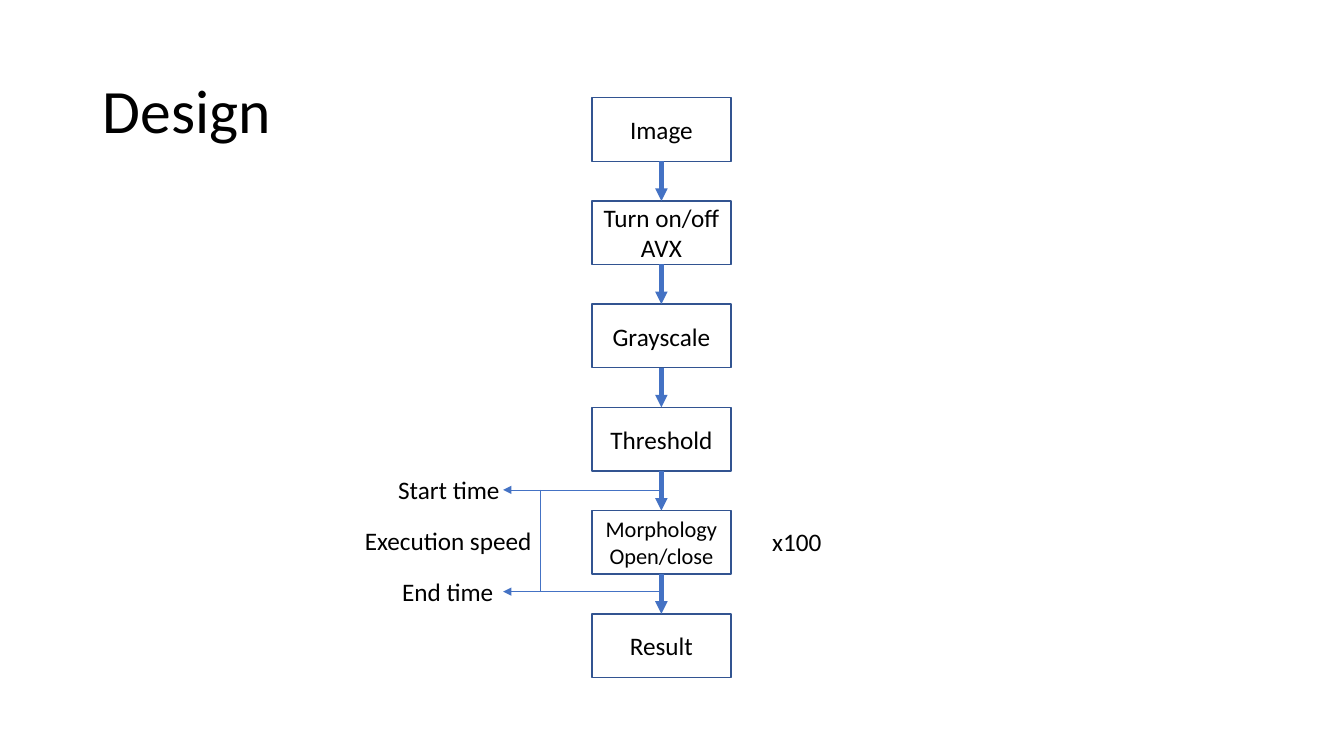
"""Build the Design slide: a vertical processing flow with timing marks."""
from pptx import Presentation
from pptx.dml.color import RGBColor
from pptx.enum.shapes import MSO_CONNECTOR as CONN, MSO_SHAPE as SHAPE
from pptx.enum.text import MSO_ANCHOR as ANCHOR, PP_ALIGN as ALIGN
from pptx.oxml.ns import qn
from pptx.util import Inches, Pt
from lxml import etree

COLORS = {"text": "000000", "box": "FFFFFF", "border": "325491", "arrow": "4472C4"}
FONT = "Calibri"
STEPS = [
    ("Image", 18),
    ("Turn on/off\nAVX", 18),
    ("Grayscale", 18),
    ("Threshold", 18),
    ("Morphology\nOpen/close", 16),
    ("Result", 18),
]
LABELS = [
    ("x100", 7.56, 5.17, 0.69),
    ("Start time", 3.85, 4.66, 1.22),
    ("End time", 3.89, 5.67, 1.12),
    ("Execution speed", 3.52, 5.16, 1.88),
]
BOX_LEFT, BOX_W, BOX_H = 5.87, 1.38, 0.63
FIRST_TOP, LAST_TOP = 0.97, 6.09
PITCH = (LAST_TOP - FIRST_TOP) / (len(STEPS) - 1)
CENTER_X = BOX_LEFT + BOX_W / 2
MARK_X, BRACKET_X = 4.99, 5.36
START_Y, END_Y = 4.86, 5.87


def rgb(name):
    return RGBColor.from_string(COLORS[name])


def write(s, text, size=18, align=ALIGN.LEFT, anchor=ANCHOR.TOP, wrap=True, spacing=None):
    tf = s.text_frame
    tf.word_wrap = wrap
    tf.vertical_anchor = anchor
    for i, line in enumerate(text.split("\n")):
        p = tf.add_paragraph() if i else tf.paragraphs[0]
        p.alignment = align
        p.line_spacing = spacing
        r = p.add_run()
        r.text = line
        r.font.name = FONT
        r.font.size = Pt(size)
        r.font.color.rgb = rgb("text")


def add_box(sp, top, text, size):
    s = sp.add_shape(SHAPE.RECTANGLE, *map(Inches, (BOX_LEFT, top, BOX_W, BOX_H)))
    s.shadow.inherit = False
    s.fill.solid()
    s.fill.fore_color.rgb = rgb("box")
    s.line.color.rgb = rgb("border")
    s.line.width = Pt(1)
    write(s, text, size, align=ALIGN.CENTER, anchor=ANCHOR.MIDDLE)
    return s


def add_line(sp, start, end, width=0.5, arrow=True):
    c = sp.add_connector(CONN.STRAIGHT, *map(Inches, start + end))
    c.line.color.rgb = rgb("arrow")
    c.line.width = Pt(width)
    if arrow:
        etree.SubElement(c.line._get_or_add_ln(), qn("a:tailEnd"), type="triangle")
    etree.SubElement(c._element.spPr, qn("a:effectLst"))
    return c


def main():
    prs = Presentation()
    prs.slide_width, prs.slide_height = Inches(13.33), Inches(7.5)
    sp = prs.slides.add_slide(prs.slide_layouts[6]).shapes

    title = sp.add_textbox(*map(Inches, (0.92, 0.4, 11.5, 1.45)))
    write(title, "Design", 44, anchor=ANCHOR.MIDDLE, spacing=0.9)

    tops = [FIRST_TOP + i * PITCH for i in range(len(STEPS))]
    boxes = [add_box(sp, top, *step) for top, step in zip(tops, STEPS)]
    for top, upper, lower in zip(tops, boxes, boxes[1:]):
        c = add_line(sp, (CENTER_X, top + BOX_H), (CENTER_X, top + PITCH), width=3)
        c.begin_connect(upper, 2)
        c.end_connect(lower, 0)

    for y in (START_Y, END_Y):
        add_line(sp, (CENTER_X, y), (MARK_X, y))
    add_line(sp, (BRACKET_X, START_Y), (BRACKET_X, END_Y), arrow=False)

    for text, left, top, width in LABELS:
        write(sp.add_textbox(*map(Inches, (left, top, width, 0.4))), text, wrap=False)

    prs.save("out.pptx")


if __name__ == "__main__":
    main()
